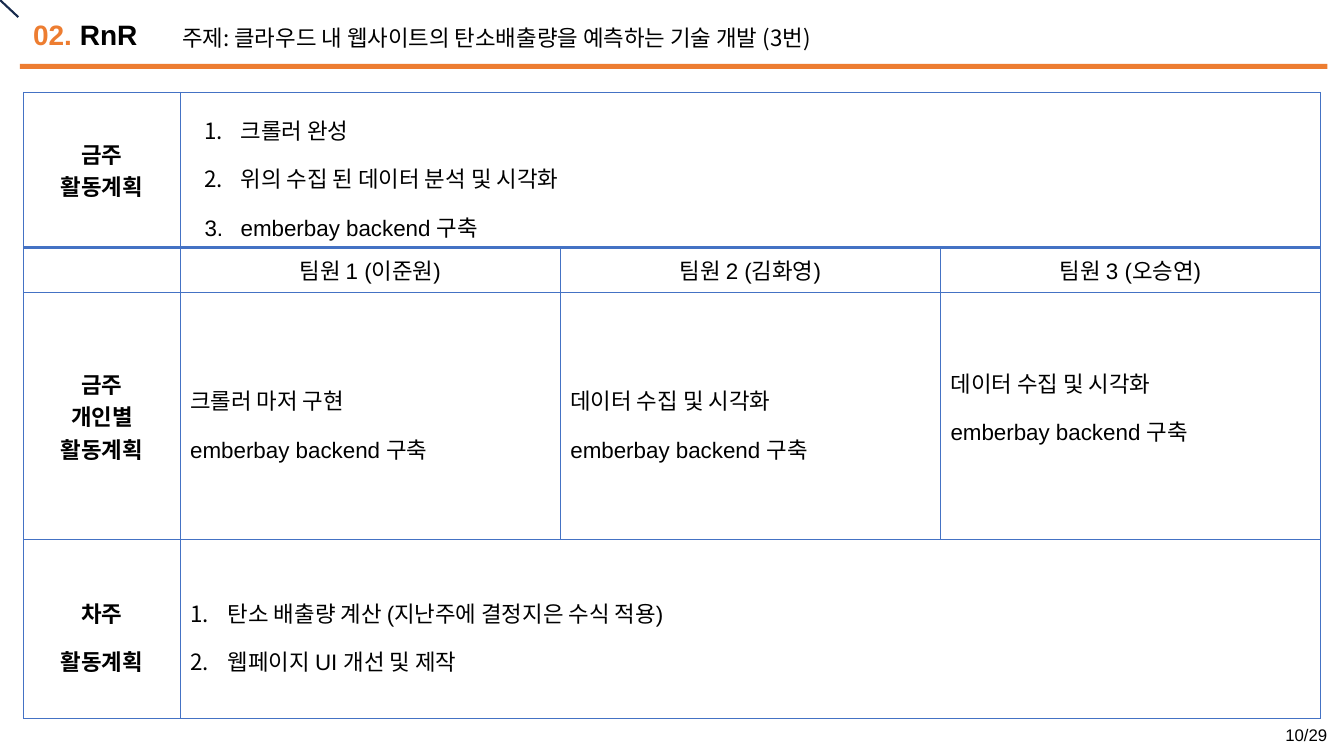
from dataclasses import dataclass

import lxml.etree
import pptx
import pptx.dml.color
import pptx.enum.shapes
import pptx.enum.text
import pptx.oxml
import pptx.oxml.ns
import pptx.util
from pptx.util import Cm, Pt

RGBColor = pptx.dml.color.RGBColor
Align = pptx.enum.text.PP_ALIGN
Anchor = pptx.enum.text.MSO_ANCHOR

ORANGE = RGBColor(0xED, 0x7D, 0x31)
BLUE = RGBColor(0x44, 0x72, 0xC4)
NAVY = RGBColor(0x18, 0x2B, 0x4D)
BLACK = RGBColor(0, 0, 0)
WHITE = RGBColor(0xFF, 0xFF, 0xFF)
LATIN_FONT = "Arial"
KOREAN_FONT = "Noto Sans CJK KR"

COLUMN_WIDTHS = (3.94, 9.58, 9.58, 9.58)
ROW_HEIGHTS = (3.91, 1.14, 6.22, 4.5)


@dataclass(frozen=True)
class CellText:
    row: int
    column: int
    lines: tuple[str, ...]
    bold: bool = False
    align: Align = Align.LEFT
    spacing: float = 1.0
    indent: float = 0  # left margin of a numbered list, cm
    hanging: float = 0
    bottom: float = 0.13


def label(row: int, *lines: str, spacing: float = 1.0) -> CellText:
    return CellText(row, 0, lines, True, Align.CENTER, spacing)


def member(column: int, name: str) -> CellText:
    return CellText(1, column, (f"팀원 {column} ({name})",), align=Align.CENTER)


BACKEND = "emberbay backend 구축"
COLLECTION = "데이터 수집 및 시각화"
CELLS = (
    label(0, "금주", "활동계획"),
    CellText(0, 1, ("크롤러 완성", "위의 수집 된 데이터 분석 및 시각화", BACKEND),
             spacing=1.5, indent=1.27, hanging=0.91),
    member(1, "이준원"),
    member(2, "김화영"),
    member(3, "오승연"),
    label(2, "금주", "개인별", "활동계획"),
    CellText(2, 1, ("크롤러 마저 구현", BACKEND), spacing=1.5),
    CellText(2, 2, (COLLECTION, BACKEND), spacing=1.5),
    CellText(2, 3, (COLLECTION, BACKEND), spacing=1.5, bottom=1.02),
    label(3, "차주", "활동계획", spacing=1.5),
    CellText(3, 1, ("탄소 배출량 계산 (지난주에 결정지은 수식 적용)", "웹페이지 UI 개선 및 제작"),
             spacing=1.5, indent=0.95, hanging=0.95),
)


def add_child(parent, tag: str, **attributes: str):
    return lxml.etree.SubElement(parent, pptx.oxml.ns.qn(tag), attributes)


def add_run(paragraph, text: str, size: float, color: RGBColor = BLACK,
            bold: bool = False, font: str = LATIN_FONT) -> None:
    run = paragraph.add_run()
    run.text = text
    run.font.size = Pt(size)
    run.font.bold = bold
    run.font.name = font
    run.font.color.rgb = color
    add_child(run._r.get_or_add_rPr(), "a:ea", typeface=KOREAN_FONT)


def add_numbering(paragraph, indent: float, hanging: float) -> None:
    properties = paragraph._p.get_or_add_pPr()
    properties.set("marL", str(Cm(indent)))
    properties.set("indent", str(-Cm(hanging)))
    add_child(add_child(properties, "a:buClr"), "a:srgbClr", val=str(BLACK))
    add_child(properties, "a:buFont", typeface=LATIN_FONT)
    add_child(properties, "a:buAutoNum", type="arabicPeriod")


def set_borders(cell, top: float, bottom: float) -> None:
    properties = cell._tc.get_or_add_tcPr()
    widths = {"a:lnL": 1, "a:lnR": 1, "a:lnT": top, "a:lnB": bottom}
    for position, (tag, width) in enumerate(widths.items()):
        line = add_child(properties, tag, w=str(Pt(width)))
        add_child(add_child(line, "a:solidFill"), "a:srgbClr", val=str(BLUE))
        properties.insert(position, line)


def fill_cell(cell, content: CellText) -> None:
    cell.margin_bottom = Cm(content.bottom)
    frame = cell.text_frame
    for index, text in enumerate(content.lines):
        paragraph = frame.add_paragraph() if index else frame.paragraphs[0]
        paragraph.alignment = content.align
        paragraph.line_spacing = content.spacing
        if content.indent:
            add_numbering(paragraph, content.indent, content.hanging)
        add_run(paragraph, text, 16, bold=content.bold)


def add_plan_table(slide) -> None:
    table = slide.shapes.add_table(
        len(ROW_HEIGHTS), len(COLUMN_WIDTHS), Cm(0.6), Cm(2.33),
        Cm(sum(COLUMN_WIDTHS)), Cm(sum(ROW_HEIGHTS))).table
    table.first_row = False
    table.horz_banding = False
    for column, width in zip(table.columns, COLUMN_WIDTHS):
        column.width = Cm(width)
    for index, height in enumerate(ROW_HEIGHTS):
        table.rows[index].height = Cm(height)
        for cell in table.rows[index].cells:
            cell.fill.solid()
            cell.fill.fore_color.rgb = WHITE
            cell.vertical_anchor = Anchor.MIDDLE
            set_borders(cell, 2 if index == 1 else 1, 2 if index == 0 else 1)
    for row in (0, 3):
        table.cell(row, 1).merge(table.cell(row, 3))
    for content in CELLS:
        fill_cell(table.cell(content.row, content.column), content)


def add_text_box(slide, left: float, top: float, width: float, height: float,
                 text: str, size: float, font: str, align: Align, anchor: Anchor) -> None:
    box = slide.shapes.add_textbox(Cm(left), Cm(top), Cm(width), Cm(height))
    frame = box.text_frame
    frame.word_wrap = True
    frame.vertical_anchor = anchor
    frame.paragraphs[0].alignment = align
    add_run(frame.paragraphs[0], text, size, font=font)


def add_header_marks(slide) -> None:
    corner = slide.shapes.add_connector(
        pptx.enum.shapes.MSO_CONNECTOR.STRAIGHT, 0, 0, Cm(0.46), Cm(0.43))
    corner.line.color.rgb = NAVY
    corner.line.width = Pt(1.5)
    add_child(corner._element.spPr, "a:effectLst")
    bar = slide.shapes.add_shape(
        pptx.enum.shapes.MSO_SHAPE.RECTANGLE, Cm(0.5), Cm(1.61), Cm(32.95), Cm(0.13))
    bar.shadow.inherit = False
    bar.fill.solid()
    bar.fill.fore_color.rgb = ORANGE
    bar.line.fill.background()


def set_title(slide) -> None:
    title = slide.shapes.title
    title.left, title.top, title.width, title.height = Cm(0.58), Cm(0.28), Cm(28.68), Cm(1.3)
    frame = title.text_frame
    frame.auto_size = pptx.enum.text.MSO_AUTO_SIZE.NONE
    frame.vertical_anchor = Anchor.MIDDLE
    paragraph = frame.paragraphs[0]
    paragraph.alignment = Align.LEFT
    paragraph.line_spacing = 0.9
    add_run(paragraph, "02. ", 20, ORANGE, bold=True)
    add_run(paragraph, "RnR", 20, bold=True)


def main() -> None:
    presentation = pptx.Presentation()
    presentation.slide_width, presentation.slide_height = Cm(33.87), Cm(19.05)
    slide = presentation.slides.add_slide(presentation.slide_layouts[5])

    # Header
    add_header_marks(slide)
    set_title(slide)
    add_text_box(slide, 4.34, 0.48, 23.75, 0.94,
                 "주제: 클라우드 내 웹사이트의 탄소배출량을 예측하는 기술 개발 (3번)",
                 16, KOREAN_FONT, Align.LEFT, Anchor.TOP)

    # Plan and page number
    add_plan_table(slide)
    add_text_box(slide, 31.29, 18.01, 2.41, 1.02, "10/29",
                 12, LATIN_FONT, Align.RIGHT, Anchor.MIDDLE)

    presentation.save("out.pptx")


if __name__ == "__main__":
    main()
